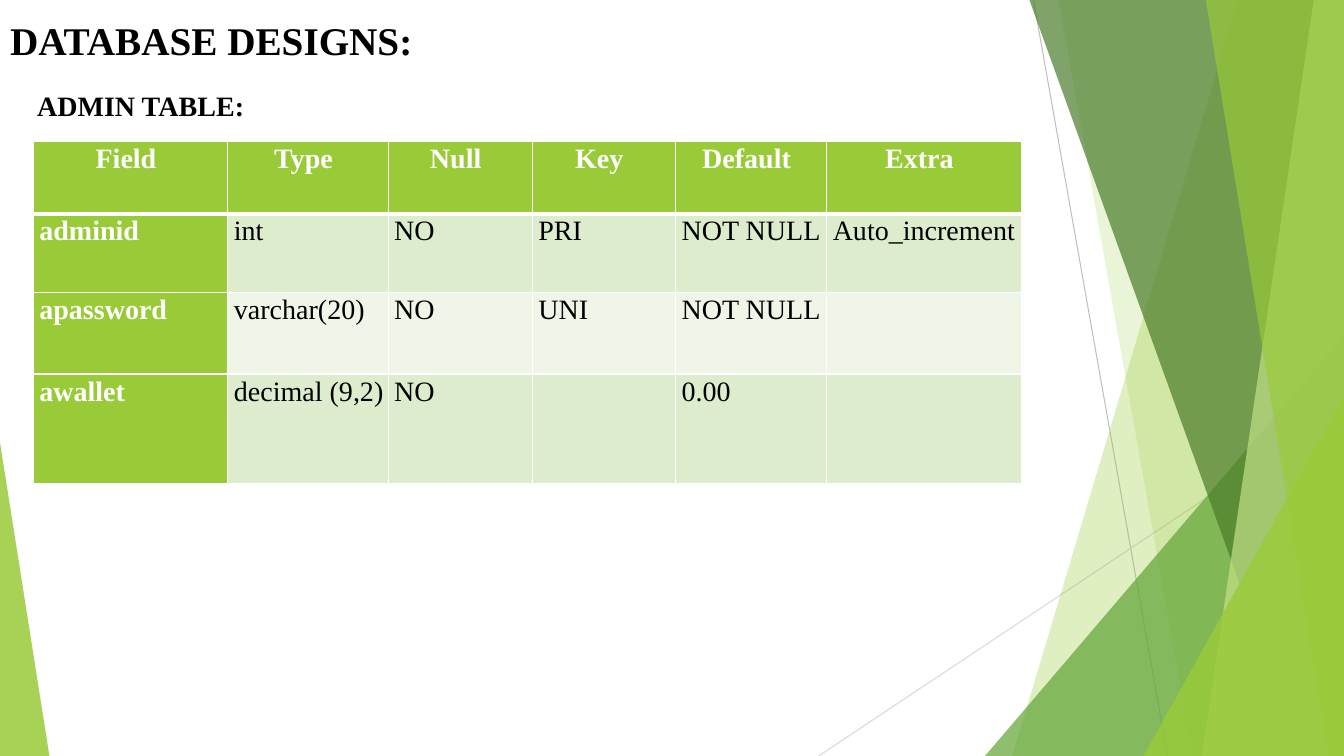
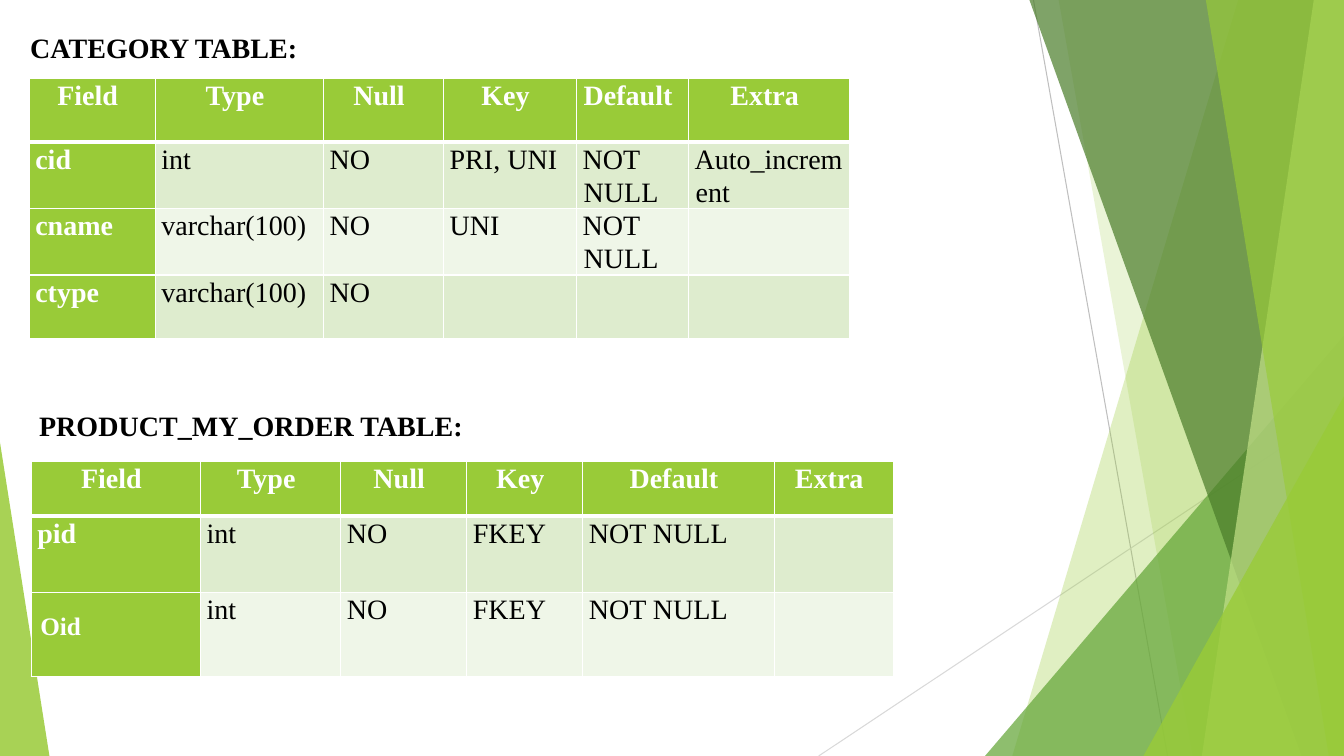
from dataclasses import dataclass
from lxml import etree
from pptx import Presentation, util as u
from pptx.dml.color import RGBColor
from pptx.enum import shapes as es, text as et
from pptx.oxml.ns import qn


@dataclass(frozen=True)
class Theme:
    font: str = "Times New Roman"
    ink: str = "000000"
    white: str = "FFFFFF"
    lime: str = "99CB38"
    pale: str = "C2E088"
    leaf: str = "63A537"
    moss: str = "4A7C29"
    bands: tuple = ("DEECCE", "EFF6E8")
    rules: tuple = ("BFBFBF", "D9D9D9")
    title: int = 28
    body: int = 20
    small: int = 18


T = Theme()
WIDE, HIGH = 13.33, 7.5
HEAD = ("Field", "Type", "Null", "Key", "Default", "Extra")
ADMIN = (
    ("adminid", "int", "NO", "PRI", "NOT NULL", "Auto_increment"),
    ("apassword", "varchar(20)", "NO", "UNI", "NOT NULL", ""),
    ("awallet", "decimal (9,2)", "NO", "", "0.00", ""),
)
GROUP = (
    ("cid", "int", "NO", "PRI, UNI", "NOT NULL", "Auto_increment"),
    ("cname", "varchar(100)", "NO", "UNI", "NOT NULL", ""),
    ("ctype", "varchar(100)", "NO", "", "", ""),
)
ORDER = (
    ("pid", "int", "NO", "FKEY", "NOT NULL", ""),
    ("Oid", "int", "NO", "FKEY", "NOT NULL", ""),
)


def inch(*nums):
    return [u.Inches(n) for n in nums]


def tint(shape, color, alpha):
    shape.shadow.inherit = False
    shape.line.fill.background()
    shape.fill.solid()
    shape.fill.fore_color.rgb = RGBColor.from_string(color)
    tone = shape.element.spPr.find(".//" + qn("a:srgbClr"))
    etree.SubElement(tone, qn("a:alpha"), val=str(alpha * 1000))


def rule(pool, ends, color):
    line = pool.add_connector(es.MSO_CONNECTOR.STRAIGHT, *inch(*ends))
    line.line.color.rgb = RGBColor.from_string(color)
    line.line.width = u.Pt(0.75)
    etree.SubElement(line.element.spPr, qn("a:effectLst"))


def shard(pool, top, foot, color, alpha):
    pen = pool.build_freeform(*inch(top, 0))
    pen.add_line_segments(
        [inch(WIDE, 0), inch(WIDE, HIGH), inch(foot, HIGH)], close=True)
    tint(pen.convert_to_shape(), color, alpha)


def wedge(pool, left, top, width, peak, color, alpha):
    shape = pool.add_shape(es.MSO_SHAPE.ISOSCELES_TRIANGLE,
                           *inch(left, top, width, HIGH - top))
    shape.adjustments[0] = peak
    tint(shape, color, alpha)


def decor(deck, slide):
    group = slide.shapes.add_group_shape()
    pool = group.shapes
    rule(pool, (10.25, 0, 11.58, HIGH), T.rules[0])
    rule(pool, (WIDE, 4.03, 8.12, HIGH), T.rules[1])
    shard(pool, 12.28, 10.04, T.lime, 30)
    shard(pool, 10.5, 11.83, T.lime, 20)
    wedge(pool, 9.77, 3.33, 3.56, 1, T.leaf, 72)
    shard(pool, 10.21, 12.91, T.moss, 70)
    shard(pool, 13.03, 11.92, T.pale, 70)
    shard(pool, 11.96, 13.18, T.lime, 65)
    wedge(pool, 11.34, 3.93, 1.99, 1, T.lime, 80)
    wedge(pool, 0, 4.39, 0.49, 0, T.lime, 85)
    for num, node in enumerate(group.element.iter(qn("p:cNvPr")), 100):
        node.set("id", str(num))
    deck.slide_master.shapes.element.insert(2, group.element)


def write(para, words, size, color=T.ink, bold=True):
    run = para.add_run()
    run.text = words
    font = run.font
    font.name, font.size, font.bold = T.font, u.Pt(size), bold
    font.color.rgb = RGBColor.from_string(color)


def label(shape, words, size=T.body):
    frame = shape.text_frame
    frame.word_wrap = True
    frame.auto_size = et.MSO_AUTO_SIZE.NONE
    frame.vertical_anchor = et.MSO_ANCHOR.TOP
    para = frame.paragraphs[0]
    para.alignment = et.PP_ALIGN.LEFT
    write(para, words, size)


def title(slide, place, words, size=T.body):
    shape = slide.shapes.title
    shape.left, shape.top, shape.width, shape.height = inch(*place)
    label(shape, words, size)


def note(slide, place, words):
    label(slide.shapes.add_textbox(*inch(*place)), words)


def edge(cell, row):
    prop = cell._tc.get_or_add_tcPr()
    wide = {"T": 3 if row == 1 else 1, "B": 3 if row == 0 else 1}
    for side in "LRTB":
        line = etree.SubElement(prop, qn("a:ln" + side),
                                w=str(u.Pt(wide.get(side, 1))))
        fill = etree.SubElement(line, qn("a:solidFill"))
        etree.SubElement(fill, qn("a:srgbClr"), val=T.white)


def fill(cell, row, col, words):
    edge(cell, row)
    head, key = row == 0, row == 0 or col == 0
    cell.fill.solid()
    cell.fill.fore_color.rgb = RGBColor.from_string(
        T.lime if key else T.bands[(row - 1) % 2])
    cell.margin_left = cell.margin_top = cell.margin_bottom = 0
    cell.margin_right = u.Inches(0.11 if head else 0.02)
    if not words:
        return
    para = cell.text_frame.paragraphs[0]
    para.alignment = et.PP_ALIGN.CENTER if head else et.PP_ALIGN.LEFT
    para.line_spacing = 1.07
    prop = para._p.get_or_add_pPr()
    prop.set("marL", str(u.Inches(0.03 if head else 0.07)))
    prop.set("indent", str(u.Inches(-0.01)))
    write(para, words, T.body, T.white if key else T.ink, key)


def grid(slide, left, top, cols, rows, data):
    data = (HEAD, *data)
    table = slide.shapes.add_table(
        len(rows), len(cols),
        *inch(left, top, sum(cols), sum(rows))).table
    for col, wide in zip(table.columns, cols):
        col.width = u.Inches(wide)
    for row, high in zip(table.rows, rows):
        row.height = u.Inches(high)
    for r, line in enumerate(data):
        for c, words in enumerate(line):
            fill(table.cell(r, c), r, c, words)
    return table


def admin(slide):
    title(slide, (0, 0.11, 7.15, 0.57), "DATABASE DESIGNS:", T.title)
    note(slide, (0.27, 0.83, 5.9, 0.44), "ADMIN TABLE:")
    grid(slide, 0.33, 1.4, (1.93, 1.59, 1.43, 1.42, 1.5, 1.93),
         (0.72, 0.78, 0.81, 1.09), ADMIN)


def orders(slide):
    title(slide, (0.2, 0.25, 4.5, 0.44), "CATEGORY TABLE:")
    grid(slide, 0.29, 0.78, (1.25, 1.67, 1.19, 1.32, 1.11, 1.6),
         (0.63,) * 4, GROUP)
    note(slide, (0.29, 4, 5.5, 0.44), "PRODUCT_MY_ORDER TABLE:")
    table = grid(slide, 0.31, 4.58, (1.68, 1.39, 1.25, 1.15, 1.9, 1.18),
                 (0.54, 0.76, 0.83), ORDER)
    cell = table.cell(2, 0)
    cell.margin_top, cell.margin_left = inch(0.18, 0.03)
    cell.text_frame.paragraphs[0].runs[0].font.size = u.Pt(T.small)


def main():
    deck = Presentation()
    deck.slide_width, deck.slide_height = inch(WIDE, HIGH)
    plain = deck.slide_layouts.get_by_name("Title Only")
    pages = [deck.slides.add_slide(plain) for _ in range(2)]
    decor(deck, pages[0])
    for page, build in zip(pages, (admin, orders)):
        build(page)
    deck.save("out.pptx")


if __name__ == "__main__":
    main()
